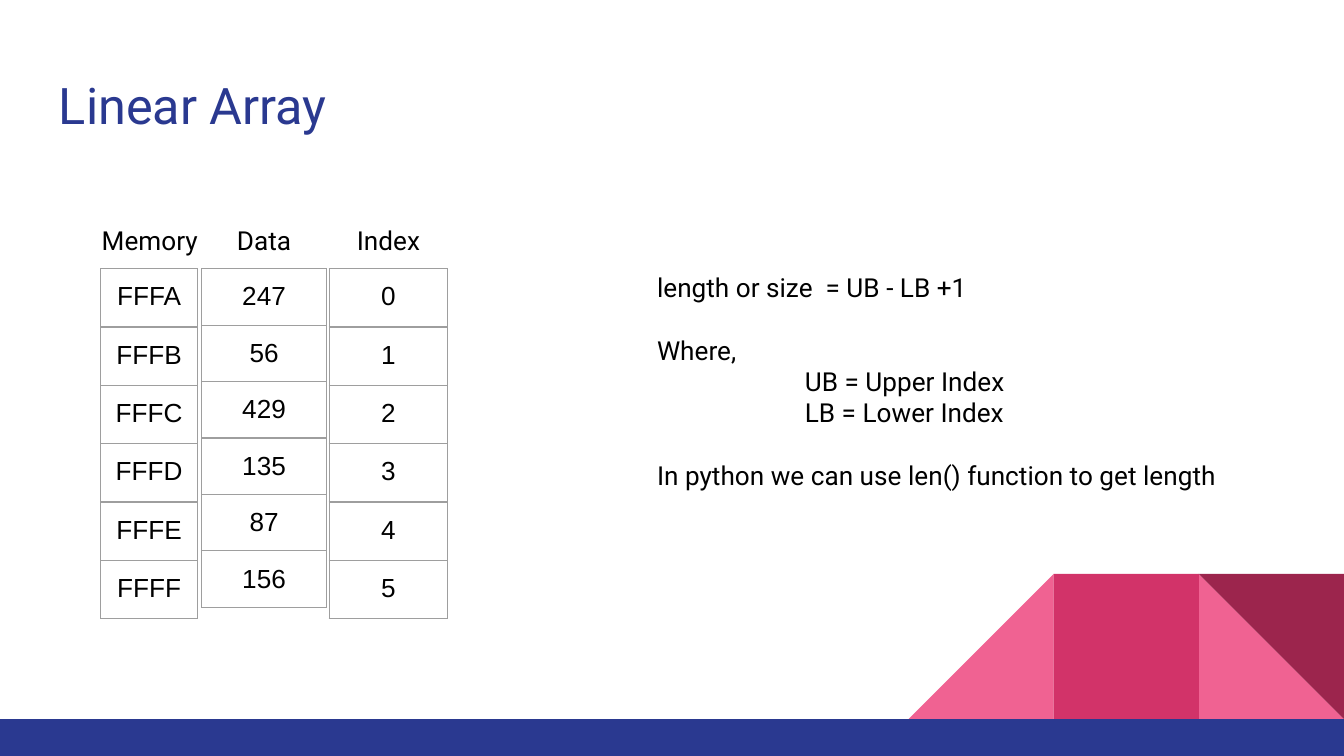
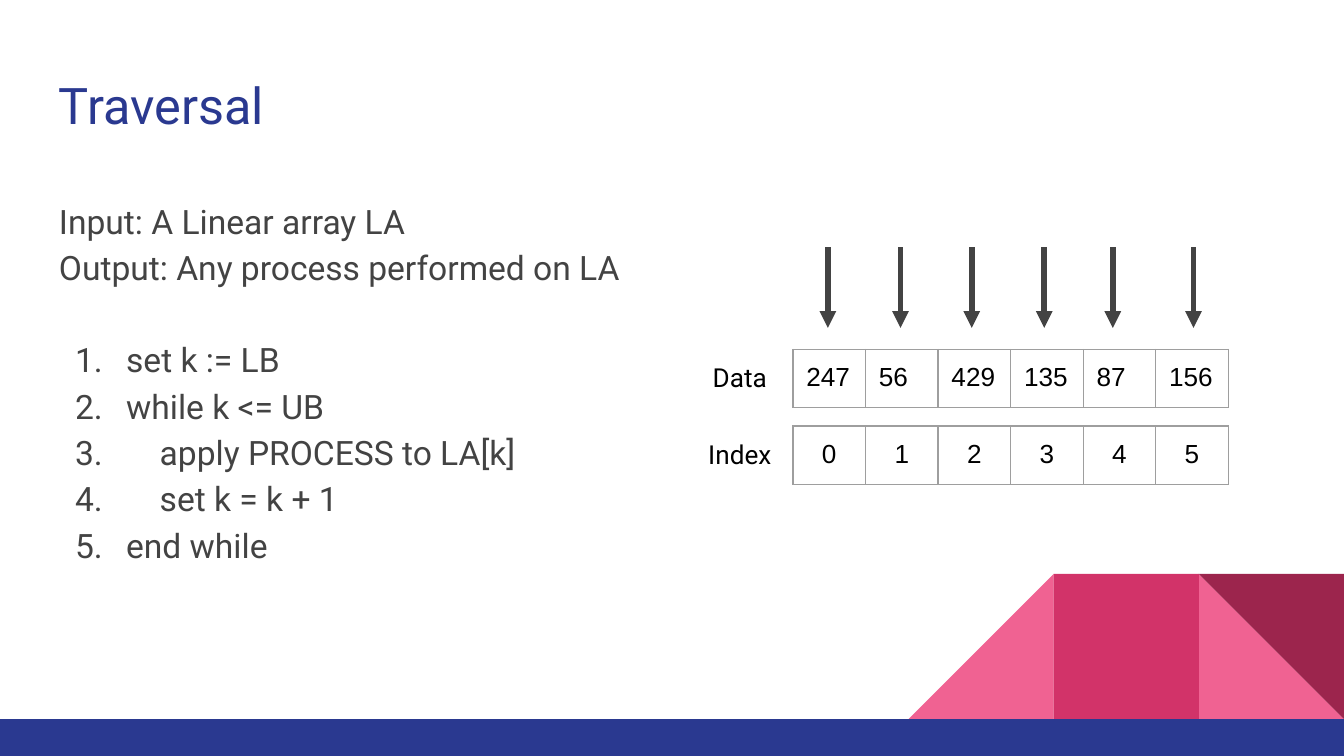
from typing import NamedTuple

from lxml import etree
from pptx import Presentation
from pptx.dml.color import RGBColor
from pptx.enum import shapes, text
from pptx.oxml.ns import qn
from pptx.util import Inches, Pt

NAVY = RGBColor(0x2A, 0x39, 0x90)
PINK = RGBColor(0xF0, 0x62, 0x92)
ROSE = RGBColor(0xD2, 0x33, 0x69)
WINE = RGBColor(0x9C, 0x25, 0x4D)
GRAY = RGBColor(0x43, 0x43, 0x43)
EDGE = RGBColor(0x9E, 0x9E, 0x9E)
BLACK = RGBColor(0, 0, 0)

WIDE = 10
HIGH = WIDE * 9 / 16
RECT = shapes.MSO_SHAPE.RECTANGLE
WEDGE = shapes.MSO_SHAPE.RIGHT_TRIANGLE
LEFT, MID = text.PP_ALIGN.LEFT, text.PP_ALIGN.CENTER
PAD = Inches(0.1)

DATA = ["247", "56", "429", "135", "87", "156"]
INDEX = [str(i) for i in range(len(DATA))]
MEMORY = ["FFF" + c for c in "ABCDEF"]


class Box(NamedTuple):
    x: float
    y: float
    w: float
    h: float

    def size(self) -> list:
        return [Inches(v) for v in self]


class Block(NamedTuple):
    kind: int
    box: Box
    fill: RGBColor
    turn: int = 0


class Line(NamedTuple):
    words: str
    gap: float = 0
    left: float = 0
    hang: float = 0


class Column(NamedTuple):
    head: str
    label: Box
    x: float
    width: float
    row: float
    cells: list


SIDE, TOP, BAND = 1.08, 4.27, 5.35
BLOCKS = [
    Block(WEDGE, Box(8.92, TOP, SIDE, SIDE), PINK),
    Block(WEDGE, Box(6.76, TOP, SIDE, SIDE), PINK, 270),
    Block(RECT, Box(7.84, TOP, SIDE, SIDE), ROSE),
    Block(WEDGE, Box(8.92, TOP, SIDE, SIDE), WINE, 180),
    Block(RECT, Box(0, BAND, WIDE, HIGH - BAND), NAVY),
]

COLUMNS = [
    Column("Data", Box(1.56, 1.57, 0.81, 0.44), 1.5, 0.93, 0.42, DATA),
    Column("Index", Box(2.53, 1.57, 0.72, 0.44), 2.45, 0.88, 0.43, INDEX),
    Column("Memory", Box(0.55, 1.57, 1.13, 0.44), 0.75, 0.72, 0.43, MEMORY),
]

GAP = 16.6
RULES = [
    Line("length or size  = UB - LB +1"),
    Line("Where,", gap=GAP),
    Line("UB = Upper Index", left=1.1),
    Line("LB = Lower Index", left=1.1),
    Line("In python we can use len() function to get length", gap=GAP),
]

HANG, DEEP = 0.38, 0.25
STEPS = [
    Line("Input: A Linear array LA"),
    Line("Output: Any process performed on LA"),
    Line("set k := LB", 24.5, 0.5, HANG),
    Line("while k <= UB", 0, 0.5, HANG),
    Line("apply PROCESS to LA[k]", 0, 0.5 + DEEP, HANG + DEEP),
    Line("set k = k + 1", 0, 0.5 + DEEP, HANG + DEEP),
    Line("end while", 0, 0.5, HANG),
]

ARROWS = [6.16, 6.7, 7.23, 7.77, 8.28, 8.88]


def write(frame, lines: list, size: float = 14, font: str = "Roboto",
          color: RGBColor = BLACK, align=LEFT, lead: float = 1) -> None:
    """Fill a text frame; lines with a hanging indent are numbered."""
    for i, line in enumerate(lines):
        par = frame.add_paragraph() if i else frame.paragraphs[0]
        par.alignment = align
        par.line_spacing = lead
        par.space_before = Pt(line.gap)
        props = par._p.get_or_add_pPr()
        props.set("marL", str(Inches(line.left)))
        props.set("indent", str(-Inches(line.hang)))
        if line.hang:
            tint = etree.SubElement(props, qn("a:buClr"))
            etree.SubElement(tint, qn("a:srgbClr"), val=str(color))
            etree.SubElement(props, qn("a:buFont"), typeface=font)
            etree.SubElement(props, qn("a:buAutoNum"), type="arabicPeriod")
        run = par.add_run()
        run.text = line.words
        run.font.size = Pt(size)
        run.font.name = font
        run.font.color.rgb = color


def add_text(slide, box: Box, lines: list, grow: bool = True, **style) -> None:
    frame = slide.shapes.add_textbox(*box.size()).text_frame
    frame.word_wrap = True
    fit = text.MSO_AUTO_SIZE
    frame.auto_size = fit.SHAPE_TO_FIT_TEXT if grow else fit.NONE
    frame.margin_left = frame.margin_right = PAD
    frame.margin_top = frame.margin_bottom = PAD
    write(frame, lines, **style)


def add_block(slide, block: Block) -> None:
    shape = slide.shapes.add_shape(block.kind, *block.box.size())
    shape.rotation = block.turn
    shape.shadow.inherit = False
    shape.fill.solid()
    shape.fill.fore_color.rgb = block.fill
    shape.line.fill.background()


def set_edges(cell) -> None:
    props = cell._tc.get_or_add_tcPr()
    for side in ("lnL", "lnR", "lnT", "lnB"):
        edge = etree.SubElement(props, qn("a:" + side), w=str(Pt(0.75)))
        fill = etree.SubElement(edge, qn("a:solidFill"))
        etree.SubElement(fill, qn("a:srgbClr"), val=str(EDGE))


def add_grid(slide, x: float, y: float, width: float, height: float,
             rows: list, align=MID) -> None:
    """Draw a table whose cells all measure width by height."""
    deep, wide = len(rows), len(rows[0])
    box = Box(x, y, width * wide, height * deep)
    grid = slide.shapes.add_table(deep, wide, *box.size()).table
    grid.first_row = grid.horz_banding = False
    for col in grid.columns:
        col.width = Inches(width)
    for r, row in enumerate(rows):
        grid.rows[r].height = Inches(height)
        for c, words in enumerate(row):
            cell = grid.cell(r, c)
            cell.margin_left = cell.margin_right = PAD
            cell.margin_top = cell.margin_bottom = PAD
            set_edges(cell)
            cell.fill.background()
            write(cell.text_frame, [Line(words)], font="Arial", align=align)


def add_arrow(slide, x: float, top: float, end: float) -> None:
    arrow = slide.shapes.add_connector(
        shapes.MSO_CONNECTOR.STRAIGHT,
        Inches(x), Inches(top), Inches(x), Inches(end))
    arrow.line.color.rgb = GRAY
    arrow.line.width = Pt(3)
    etree.SubElement(arrow.line._get_or_add_ln(), qn("a:tailEnd"),
                     type="triangle")
    etree.SubElement(arrow._element.spPr, qn("a:effectLst"))


def add_slide(deck, title: str):
    """Start a slide with the shared corner blocks, band and title."""
    slide = deck.slides.add_slide(deck.slide_layouts[6])
    for block in BLOCKS:
        add_block(slide, block)
    add_text(slide, Box(0.34, 0.45, 9.32, 0.66), [Line(title)], grow=False,
             size=27, color=NAVY)
    return slide


def add_array(deck) -> None:
    slide = add_slide(deck, "Linear Array")
    for col in COLUMNS:
        add_grid(slide, col.x, 2, col.width, col.row,
                 [[words] for words in col.cells])
        add_text(slide, col.label, [Line(col.head)], align=MID)
    add_text(slide, Box(4.79, 1.92, 4.42, 1.85), RULES)


def add_walk(deck) -> None:
    slide = add_slide(deck, "Traversal")
    add_text(slide, Box(0.34, 1.35, 9.32, 3.65), STEPS, grow=False,
             size=18, color=GRAY, lead=1.15)
    for head, y, cells, align in (("Data", 2.6, DATA, LEFT),
                                  ("Index", 3.17, INDEX, MID)):
        add_grid(slide, 5.9, y, 0.54, 0.39, [cells], align)
        add_text(slide, Box(5.1, y - 0.01, 0.81, 0.44), [Line(head)],
                 align=MID)
    for x in ARROWS:
        add_arrow(slide, x, 1.84, 2.44)


def main() -> None:
    deck = Presentation()
    deck.slide_width, deck.slide_height = Inches(WIDE), Inches(HIGH)
    add_array(deck)
    add_walk(deck)
    deck.save("out.pptx")


if __name__ == "__main__":
    main()
